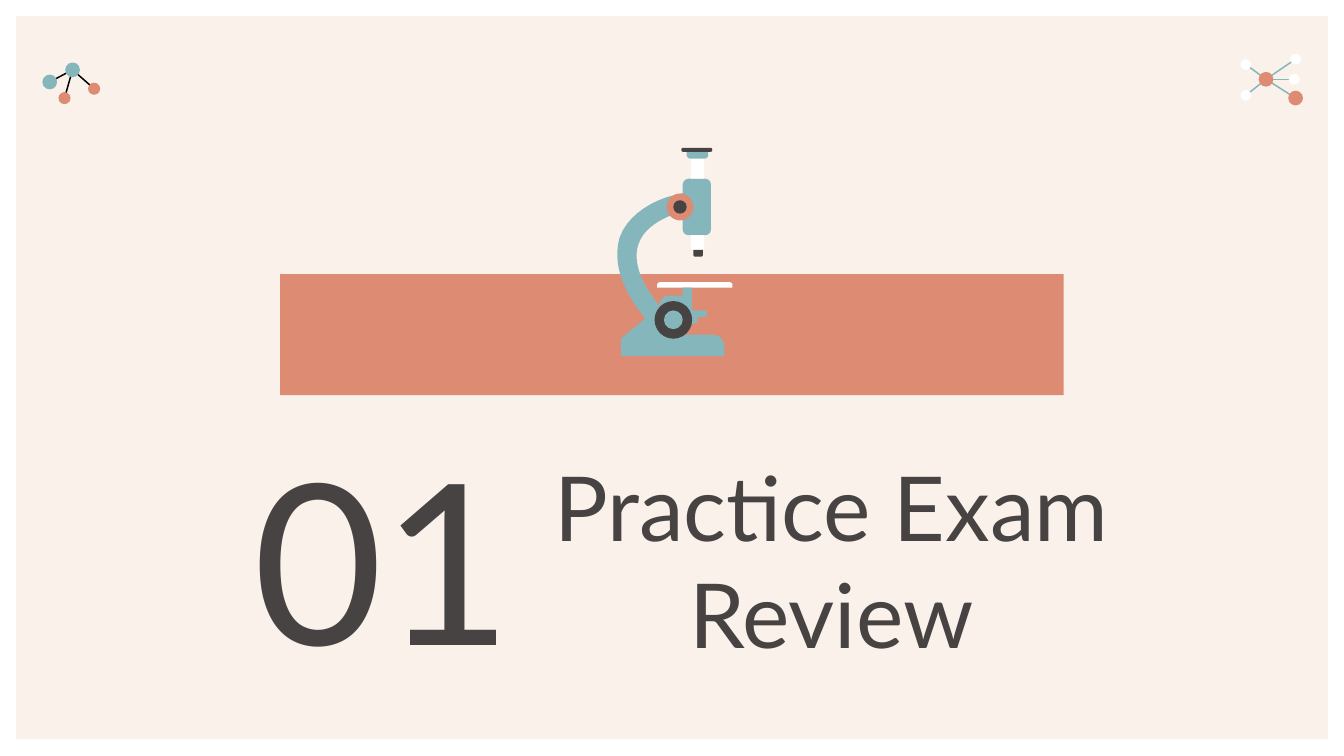
"""Build the section slide for the practice exam review."""
import pptx
import pptx.dml.color
import pptx.enum.shapes
import pptx.enum.text
import pptx.oxml
import pptx.util
from pptx.util import Inches

COLOURS = {"cream": "FAF1EA", "coral": "DE8B74", "teal": "84B6BC",
           "dark": "464342", "white": "FFFFFF", "black": "000000"}
SHAPES = pptx.enum.shapes.MSO_SHAPE
ANCHORS = pptx.enum.text.MSO_ANCHOR


def add_filled(parent, preset, colour, left, top, width, height):
    part = parent.shapes.add_shape(preset, Inches(left), Inches(top), Inches(width), Inches(height))
    part.shadow.inherit = False
    part.fill.solid()
    part.fill.fore_color.rgb = pptx.dml.color.RGBColor.from_string(COLOURS[colour])
    part.line.fill.background()
    return part


def add_outline(parent, colour, start, steps):
    corners = [start]
    for step in steps:
        if len(step) == 2:
            corners.append(step)
            continue
        curve = [corners[-1], step[:2], step[2:4], step[4:]]
        for i in range(1, 13):
            t = i / 12
            weights = ((1 - t) ** 3, 3 * t * (1 - t) ** 2, 3 * t ** 2 * (1 - t), t ** 3)
            corners.append(tuple(sum(w * p[axis] for w, p in zip(weights, curve)) for axis in (0, 1)))
    corners = [(Inches(x), Inches(y)) for x, y in corners]
    builder = parent.shapes.build_freeform(*corners[0])
    builder.add_line_segments(corners[1:], close=True)
    outline = builder.convert_to_shape()
    outline.shadow.inherit = False
    outline.fill.solid()
    outline.fill.fore_color.rgb = pptx.dml.color.RGBColor.from_string(COLOURS[colour])
    outline.line.fill.background()


deck = pptx.Presentation()
deck.slide_width = Inches(10)
deck.slide_height = deck.slide_width * 9 // 16
slide = deck.slides.add_slide(deck.slide_layouts[6])

add_filled(slide, SHAPES.RECTANGLE, "cream", 0.12, 0.12, 9.76, 5.38)

molecules = [
    ("black", [(0, 1), (0, 2), (0, 3)],
     [(0.54, 0.52, 0.11, "teal"), (0.37, 0.61, 0.11, "teal"),
      (0.48, 0.73, 0.09, "coral"), (0.7, 0.66, 0.09, "coral")]),
    ("teal", [(0, atom) for atom in range(1, 6)],
     [(9.42, 0.59, 0.11, "coral"), (9.64, 0.44, 0.08, "white"),
      (9.63, 0.59, 0.08, "white"), (9.64, 0.73, 0.11, "coral"),
      (9.27, 0.48, 0.08, "white"), (9.27, 0.71, 0.08, "white")]),
]
for bond_colour, bonds, atoms in molecules:
    molecule = slide.shapes.add_group_shape()
    for first, second in bonds:
        bond = molecule.shapes.add_connector(
            pptx.enum.shapes.MSO_CONNECTOR.STRAIGHT,
            *[Inches(value) for value in atoms[first][:2] + atoms[second][:2]])
        bond.line.color.rgb = pptx.dml.color.RGBColor.from_string(COLOURS[bond_colour])
        bond.line.width = pptx.util.Pt(0.78)
        bond._element.spPr.append(pptx.oxml.parse_xml(
            '<a:effectLst xmlns:a="http://schemas.openxmlformats.org/drawingml/2006/main"/>'))
    for x, y, size, colour in atoms:
        add_filled(molecule, SHAPES.OVAL, colour, x - size / 2, y - size / 2, size, size)

band_width = 5.83
add_filled(slide, SHAPES.RECTANGLE, "coral", (10 - band_width) / 2, 2.04, band_width, 0.9)

headings = [
    ("01", 120, ANCHORS.BOTTOM, 0, (1.52, 3.09, 2.66, 2.15)),
    ("Practice Exam Review", 48, ANCHORS.MIDDLE, 16, (3.89, 3.7, 4.59, 0.92)),
]
for wording, size, anchor, space_after, place in headings:
    frame = slide.shapes.add_textbox(*[Inches(value) for value in place]).text_frame
    frame.word_wrap = True
    frame.vertical_anchor = anchor
    frame.margin_left = frame.margin_right = Inches(0.1)
    frame.margin_top = frame.margin_bottom = Inches(0.1)
    paragraph = frame.paragraphs[0]
    paragraph.alignment = pptx.enum.text.PP_ALIGN.CENTER
    paragraph.space_after = pptx.util.Pt(space_after)
    run = paragraph.add_run()
    run.text = wording
    run.font.name = "Lato"
    run.font.size = pptx.util.Pt(size)
    run.font.color.rgb = pptx.dml.color.RGBColor.from_string(COLOURS["dark"])

microscope = slide.shapes.add_group_shape()
add_outline(microscope, "teal", (5.11, 1.43), [
    (4.99, 1.46), (4.98, 1.46, 4.69, 1.54, 4.61, 1.77), (4.56, 1.95, 4.62, 2.15, 4.81, 2.38),
    (4.92, 2.29), (4.76, 2.1, 4.71, 1.94, 4.75, 1.82), (4.8, 1.66, 5.01, 1.6, 5.02, 1.59),
    (5.14, 1.57)])

ROUNDED, HALF_ROUNDED = SHAPES.ROUNDED_RECTANGLE, SHAPES.ROUND_2_SAME_RECTANGLE
tube_parts = [
    (ROUNDED, "teal", (5.08, 1.33, 0.21, 0.42), (0.2,)),
    (SHAPES.RECTANGLE, "white", (5.14, 1.13, 0.1, 0.2), ()),
    (HALF_ROUNDED, "white", (5.14, 1.75, 0.1, 0.11), (0, 0.2)),
    (HALF_ROUNDED, "dark", (5.16, 1.86, 0.07, 0.05), (0, 0.25)),
    (HALF_ROUNDED, "teal", (5.11, 1.13, 0.16, 0.05), (0, 0.5)),
    (ROUNDED, "dark", (5.07, 1.1, 0.23, 0.03), (0.4,)),
    (SHAPES.OVAL, "coral", (4.96, 1.44, 0.2, 0.2), ()),
    (SHAPES.OVAL, "dark", (5.01, 1.49, 0.1, 0.1), ()),
    (HALF_ROUNDED, "white", (4.89, 2.1, 0.56, 0.04), (0.5, 0)),
]
for preset, colour, place, roundings in tube_parts:
    part = add_filled(microscope, preset, colour, *place)
    for index, rounding in enumerate(roundings):
        part.adjustments[index] = rounding

add_outline(microscope, "teal", (4.91, 2.28), [
    (4.62, 2.52), (4.62, 2.65), (5.39, 2.65), (5.39, 2.58),
    (5.39, 2.53, 5.35, 2.49, 5.3, 2.49), (5, 2.49)])
add_outline(microscope, "teal", (5.08, 2.14), [
    (5.08, 2.2), (4.97, 2.2), (4.94, 2.2, 4.91, 2.23, 4.91, 2.26), (4.91, 2.28),
    (5.04, 2.41), (5.15, 2.41), (5.17, 2.41, 5.19, 2.4, 5.19, 2.38), (5.19, 2.36),
    (5.24, 2.36), (5.25, 2.36, 5.26, 2.35, 5.26, 2.33), (5.26, 2.32, 5.25, 2.31, 5.24, 2.31),
    (5.15, 2.31), (5.15, 2.14)])
for colour, size in [("dark", 0.28), ("teal", 0.14)]:
    add_filled(microscope, SHAPES.OVAL, colour, 5.01 - size / 2, 2.38 - size / 2, size, size)

deck.save("out.pptx")
